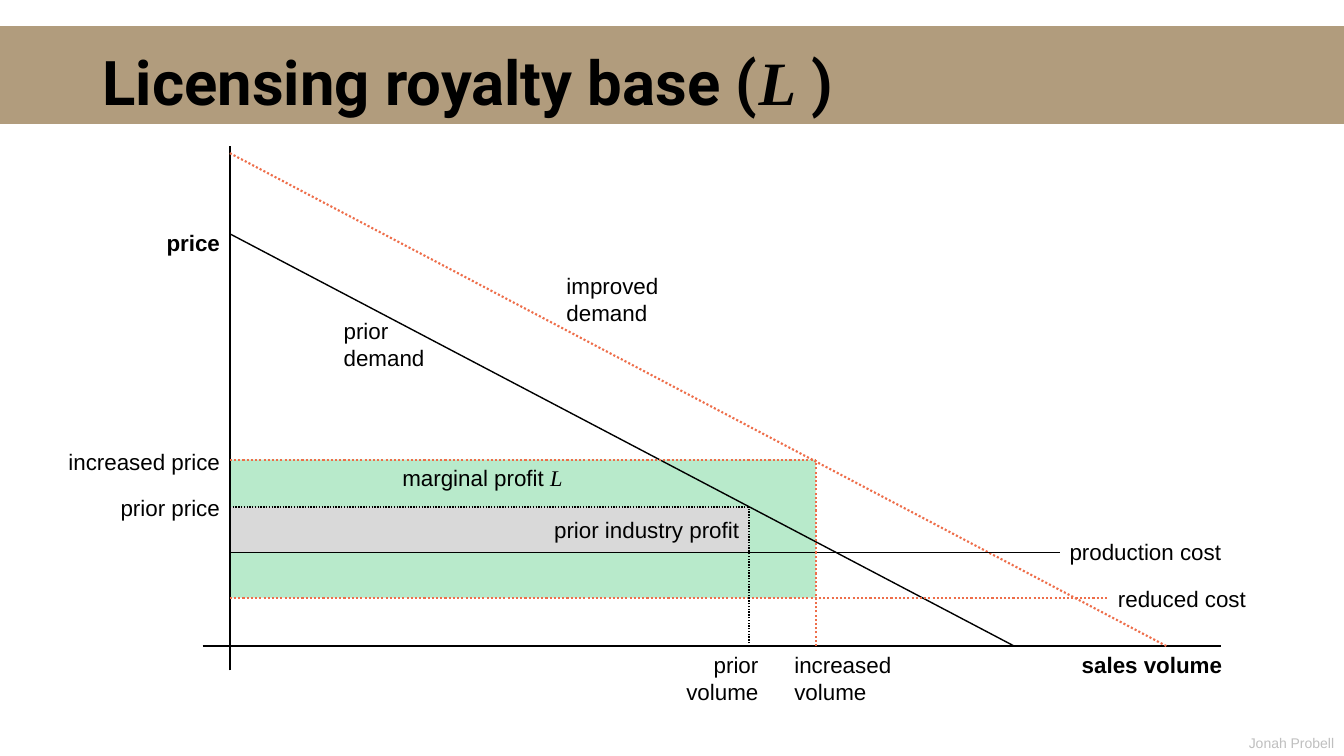
from lxml import etree
from pptx import Presentation
from pptx.dml.color import RGBColor
from pptx.enum.dml import MSO_LINE
from pptx.enum.shapes import MSO_CONNECTOR, MSO_SHAPE
from pptx.enum.text import MSO_ANCHOR, PP_ALIGN
from pptx.oxml.ns import qn
from pptx.util import Emu, Pt

PX = 9144  # 100 px to the inch
WIDTH, HEIGHT = 1333, 750
RECTANGLE, STRAIGHT, DOTTED = MSO_SHAPE.RECTANGLE, MSO_CONNECTOR.STRAIGHT, MSO_LINE.ROUND_DOT
LEFT, RIGHT = PP_ALIGN.LEFT, PP_ALIGN.RIGHT
TOP, MIDDLE, BOTTOM = MSO_ANCHOR.TOP, MSO_ANCHOR.MIDDLE, MSO_ANCHOR.BOTTOM

BLACK, ORANGE, TAN = "000000", "EE6E4A", "B19C7D"
GREEN, GREY, PALE = "B8EACB", "D9D9D9", "BFBFBF"
VARIABLE = {"font": "Times New Roman", "italic": True}

# Positions on the chart that lines, areas and labels share
AXIS_X, AXIS_Y = 228, 641
PRIOR_VOLUME, INCREASED_VOLUME = 743, 809
INCREASED_PRICE, PRIOR_PRICE = 456, 503
PRODUCTION_COST, REDUCED_COST = 548, 593
PRODUCTION_END, REDUCED_END = 1051, 1099


def px(length):
    return Emu(length * PX)


def color(value):
    return RGBColor.from_string(value)


def write(shape, text, size=16, font="Arial", fill=BLACK, bold=False, align=LEFT,
          anchor=TOP, wrap=False, spacing=None, right_margin=10):
    """Fill a shape with text: a string, one line per paragraph, or a list of (text, format) runs."""
    frame = shape.text_frame
    frame.word_wrap = wrap
    frame.vertical_anchor = anchor
    frame.margin_left, frame.margin_right = px(10), px(right_margin)
    frame.margin_top = frame.margin_bottom = px(5)
    lines = [[(line, {})] for line in text.split("\n")] if isinstance(text, str) else [text]
    for index, runs in enumerate(lines):
        paragraph = frame.add_paragraph() if index else frame.paragraphs[0]
        paragraph.alignment = align
        if spacing:
            paragraph.line_spacing = spacing
        for words, style in runs:
            run = paragraph.add_run()
            run.text = words
            run.font.name = style.get("font", font)
            run.font.size = Pt(size)
            run.font.bold = bold
            run.font.italic = style.get("italic", False)
            run.font.color.rgb = color(fill)


class Diagram:
    def __init__(self):
        self.presentation = Presentation()
        self.presentation.slide_width, self.presentation.slide_height = px(WIDTH), px(HEIGHT)
        self.slide = self.presentation.slides.add_slide(self.presentation.slide_layouts[6])

    def area(self, left, top, right, bottom, fill):
        shape = self.slide.shapes.add_shape(
            RECTANGLE, px(left), px(top), px(right - left), px(bottom - top))
        shape.shadow.inherit = False
        shape.fill.solid()
        shape.fill.fore_color.rgb = color(fill)
        shape.line.fill.background()
        return shape

    def label(self, text, left, top, width, height=37, **text_format):
        box = self.slide.shapes.add_textbox(px(left), px(top), px(width), px(height))
        write(box, text, **text_format)

    def axis_label(self, text, top, width, **text_format):
        """Place a label that ends at the price axis."""
        self.label(text, AXIS_X - width, top, width, align=RIGHT, **text_format)

    def line(self, x1, y1, x2, y2, stroke=BLACK, dotted=False):
        connector = self.slide.shapes.add_connector(STRAIGHT, px(x1), px(y1), px(x2), px(y2))
        connector.line.color.rgb = color(stroke)
        connector.line.width = Pt(1.5 if stroke == ORANGE else 1)
        if dotted:
            connector.line.dash_style = DOTTED
        etree.SubElement(connector._element.spPr, qn("a:effectLst"))


def main():
    diagram = Diagram()
    diagram.label("Jonah Probell", 1228, 723, 105, 27, size=10, fill=PALE,
                  align=RIGHT, anchor=BOTTOM)
    diagram.area(0, 26, WIDTH, 123, TAN)
    diagram.label([("Licensing royalty base (", {}), ("L", VARIABLE), (" )", {})],
                  92, 13, 1150, 110, size=44, font="Roboto", bold=True,
                  anchor=BOTTOM, wrap=True, spacing=0.9)

    marginal_profit = diagram.area(AXIS_X, INCREASED_PRICE, INCREASED_VOLUME, PRODUCTION_COST, GREEN)
    write(marginal_profit, [("marginal profit ", {}), ("L", VARIABLE)],
          align=RIGHT, wrap=True, right_margin=251)
    prior_profit = diagram.area(AXIS_X, PRIOR_PRICE, PRIOR_VOLUME, PRODUCTION_COST, GREY)
    write(prior_profit, "prior industry profit", align=RIGHT, anchor=MIDDLE, wrap=True)
    diagram.area(AXIS_X, PRODUCTION_COST, INCREASED_VOLUME, REDUCED_COST, GREEN)

    diagram.line(AXIS_X, 665, AXIS_X, 145)
    diagram.line(201, AXIS_Y, 1211, AXIS_Y)
    diagram.line(AXIS_X, 232, 1006, AXIS_Y)
    diagram.line(AXIS_X, 152, 1157, AXIS_Y, ORANGE, dotted=True)
    diagram.line(AXIS_X, PRODUCTION_COST, PRODUCTION_END, PRODUCTION_COST)
    diagram.line(AXIS_X, REDUCED_COST, REDUCED_END, REDUCED_COST, ORANGE, dotted=True)
    for volume, price, stroke in ((PRIOR_VOLUME, PRIOR_PRICE, BLACK),
                                  (INCREASED_VOLUME, INCREASED_PRICE, ORANGE)):
        diagram.line(volume, AXIS_Y, volume, price, stroke, dotted=True)
        diagram.line(AXIS_X, price, volume, price, stroke, dotted=True)

    diagram.axis_label("price", 222, 74, bold=True)
    diagram.axis_label("increased price", 439, 172, anchor=MIDDLE)
    diagram.axis_label("prior price", 485, 120, anchor=MIDDLE)
    diagram.label("prior\ndemand", 331, 310, 101, 64)
    diagram.label("improved demand", 552, 265, 177, 64, anchor=MIDDLE, wrap=True)
    diagram.label("production cost", PRODUCTION_END, 529, 197, anchor=MIDDLE, wrap=True)
    diagram.label("reduced cost", REDUCED_END, 576, 197, wrap=True)
    diagram.label("prior\nvolume", 670, AXIS_Y, 92, 64, align=RIGHT)
    diagram.label("increased\nvolume", 778, AXIS_Y, 119, 64, wrap=True)
    diagram.label("sales volume", 1061, AXIS_Y, 161, bold=True, align=RIGHT)

    diagram.presentation.save("out.pptx")


if __name__ == "__main__":
    main()
